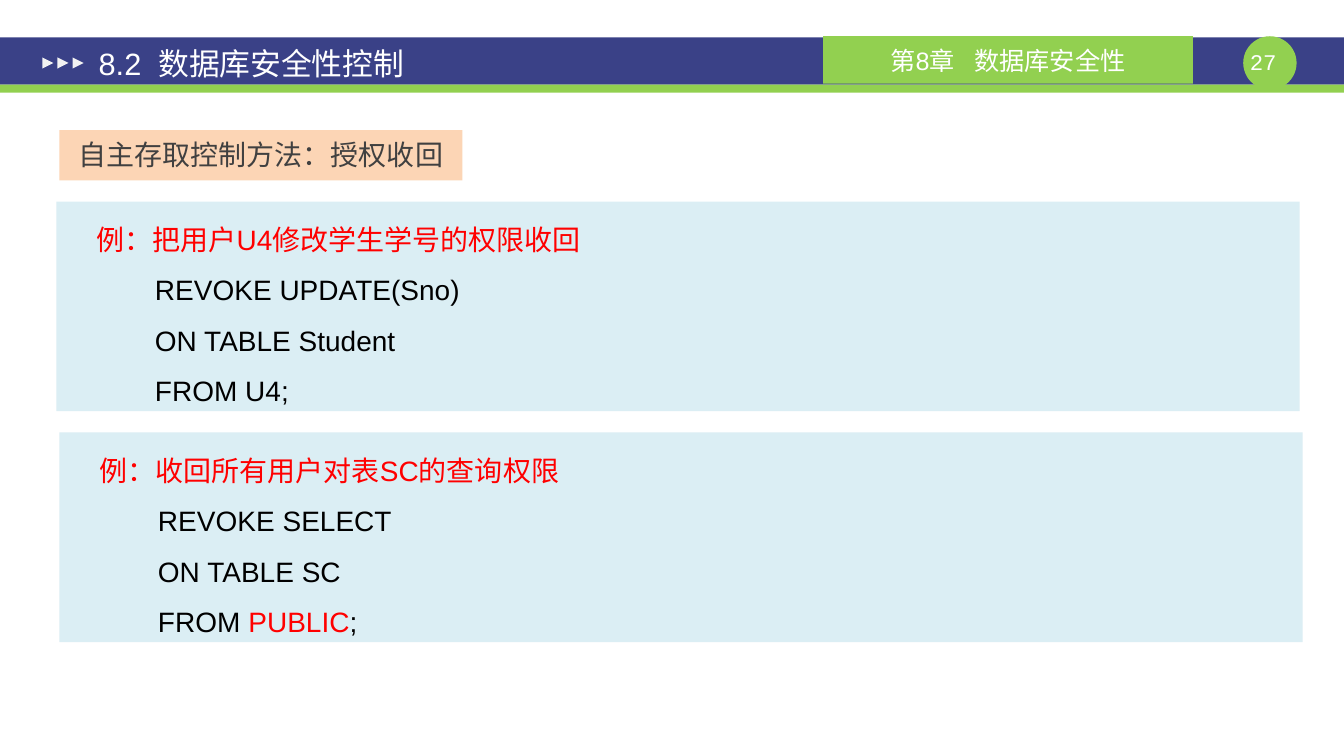
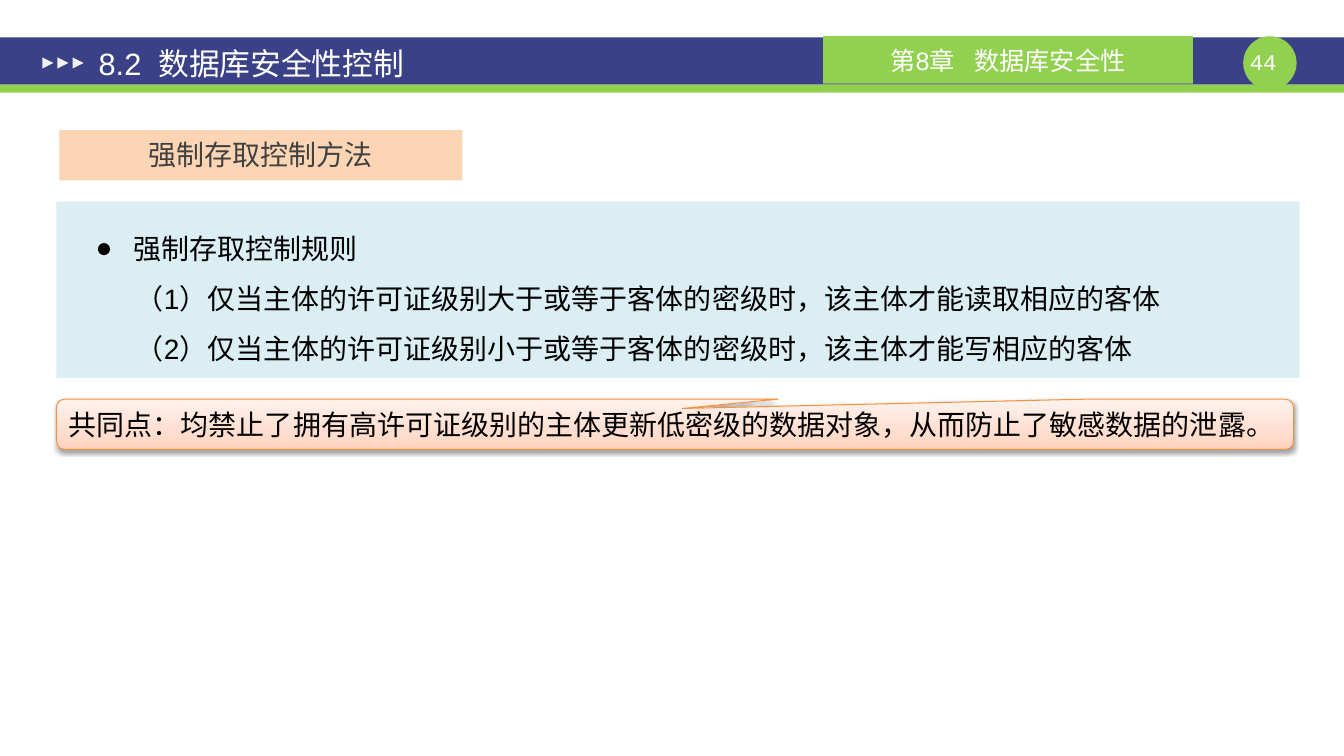
"""Builds two lecture slides on database access control."""
from lxml import etree
from pptx import Presentation
from pptx.dml.color import RGBColor
from pptx.enum.shapes import MSO_SHAPE
from pptx.enum.text import MSO_ANCHOR, PP_ALIGN
from pptx.oxml.ns import qn
from pptx.util import Pt

PX = 9144
RECT, OVAL, TRIANGLE = MSO_SHAPE.RECTANGLE, MSO_SHAPE.OVAL, MSO_SHAPE.ISOSCELES_TRIANGLE
CALLOUT = MSO_SHAPE.ROUNDED_RECTANGULAR_CALLOUT
TOP, MIDDLE = MSO_ANCHOR.TOP, MSO_ANCHOR.MIDDLE
LEFT, CENTER, JUSTIFY = PP_ALIGN.LEFT, PP_ALIGN.CENTER, PP_ALIGN.JUSTIFY
NAVY, GREEN, PEACH, PALE = "3A4187", "92D050", "FCD5B5", "DBEEF4"
WHITE, LIGHT, GREY, BLACK, RED = "FFFFFF", "F2F2F2", "404040", "000000", "FF0000"
ORANGE = "F69240"
CALLOUT_STOPS = [(0, "FFD2BD"), (35000, "FFDED0"), (100000, "FFF2ED")]

slides = [
    {"number": "27 ", "topic": "自主存取控制方法：授权收回", "note": None, "panels": [
        (56, 200, 208, [
            (30, 0, None, [("例：把用户U4修改学生学号的权限收回", RED)]),
            (30, 58, None, [("REVOKE UPDATE(Sno)", BLACK)]),
            (30, 58, None, [("ON TABLE Student", BLACK)]),
            (30, 58, None, [("FROM U4;", BLACK)])]),
        (59, 429, 208, [
            (30, 0, None, [("例：收回所有用户对表SC的查询权限", RED)]),
            (30, 58, None, [("REVOKE SELECT", BLACK)]),
            (30, 58, None, [("ON TABLE SC", BLACK)]),
            (30, 58, None, [("FROM ", BLACK), ("PUBLIC", RED), (";", BLACK)])])]},
    {"number": "44 ", "topic": "强制存取控制方法",
     "note": "共同点：均禁止了拥有高许可证级别的主体更新低密级的数据对象，从而防止了敏感数据的泄露。",
     "panels": [
        (56, 200, 175, [
            (67, -38, "●", [("强制存取控制规则", BLACK)]),
            (30, 39, None, [("（1）仅当主体的许可证级别大于或等于客体的密级时，该主体才能读取相应的客体", BLACK)]),
            (30, 39, None, [("（2）仅当主体的许可证级别小于或等于客体的密级时，该主体才能写相应的客体", BLACK)])])]},
]


def shape(s, kind, x, y, w, h, fill):
    sp = s.shapes.add_shape(kind, x * PX, y * PX, w * PX, h * PX)
    sp.shadow.inherit = False
    sp.fill.solid()
    sp.fill.fore_color.rgb = RGBColor.from_string(fill)
    sp.line.fill.background()
    return sp


def write(sp, paras, size, align, anchor=MIDDLE, inset=(10, 5), spacing=None, font="Arial"):
    tf = sp.text_frame
    tf.word_wrap = True
    tf.vertical_anchor = anchor
    tf.margin_left = tf.margin_right = inset[0] * PX
    tf.margin_top = tf.margin_bottom = inset[1] * PX
    for i, (margin, indent, bullet, runs) in enumerate(paras):
        p = tf.add_paragraph() if i else tf.paragraphs[0]
        p.alignment = align
        p.line_spacing = spacing
        pPr = p._p.get_or_add_pPr()
        pPr.set("marL", str(margin * PX))
        pPr.set("indent", str(indent * PX))
        if bullet:
            etree.SubElement(pPr, qn("a:buFont")).set("typeface", "Arial")
            etree.SubElement(pPr, qn("a:buChar")).set("char", bullet)
        for text, color, *gap in runs:
            r = p.add_run()
            r.text = text
            r.font.size = Pt(size)
            r.font.name = font
            r.font.color.rgb = RGBColor.from_string(color)
            if gap:
                r._r.get_or_add_rPr().set("spc", str(gap[0] * 100))


prs = Presentation()
prs.slide_width, prs.slide_height = 1334 * PX, 750 * PX

for page in slides:
    s = prs.slides.add_slide(prs.slide_layouts[6])

    shape(s, RECT, 0, 37, 1334, 47, NAVY)
    shape(s, RECT, 0, 84, 1334, 8, GREEN)
    shape(s, OVAL, 1234, 36, 53, 53, GREEN)
    number = s.shapes.add_textbox(1234 * PX, 48 * PX, 53 * PX, 27 * PX)
    write(number, [(0, 0, None, [(page["number"], WHITE)])], 16, CENTER, TOP, (0, 0),
          font="Courier New")
    chapter = shape(s, RECT, 817, 36, 367, 47, GREEN)
    write(chapter, [(0, 0, None, [("第8章", WHITE), (" ", WHITE, 10), ("数据库安全性", WHITE)])],
          18, CENTER)
    for i in range(3):
        shape(s, TRIANGLE, 42 + 15 * i, 57, 11, 11, LIGHT).rotation = 90
    title = s.shapes.add_textbox(85 * PX, 39 * PX, 583 * PX, 47 * PX)
    write(title, [(0, 0, None, [("8.2", WHITE), (" ", WHITE, 6), ("数据库安全性控制", WHITE)])],
          22, LEFT, inset=(13, 7))

    topic = shape(s, RECT, 59, 129, 400, 50, PEACH)
    write(topic, [(0, 0, None, [(page["topic"], GREY)])], 20, CENTER, TOP, (13, 7))
    for x, y, h, paras in page["panels"]:
        write(shape(s, RECT, x, y, 1234, h, PALE), paras, 20, JUSTIFY, spacing=1.5)

    if page["note"]:
        note = shape(s, CALLOUT, 56, 396, 1228, 50, PEACH)
        for i, value in enumerate((0.006, -0.314, 0.167)):
            note.adjustments[i] = value
        note.line.color.rgb = RGBColor.from_string(ORANGE)
        note.line.width = Pt(0.75)
        note.fill.gradient()
        note.fill.gradient_angle = 90
        spPr = note._element.spPr
        stops = spPr.find(qn("a:gradFill")).find(qn("a:gsLst"))
        for stop in list(stops):
            stops.remove(stop)
        for pos, color in CALLOUT_STOPS:
            stop = etree.SubElement(stops, qn("a:gs"), pos=str(pos))
            etree.SubElement(stop, qn("a:srgbClr"), val=color)
        shadow = etree.SubElement(spPr.find(qn("a:effectLst")), qn("a:outerShdw"),
                                  blurRad="40000", dist="20000", dir="5400000", rotWithShape="0")
        tint = etree.SubElement(shadow, qn("a:srgbClr"), val=BLACK)
        etree.SubElement(tint, qn("a:alpha"), val="38000")
        write(note, [(0, 0, None, [(page["note"], BLACK)])], 20, JUSTIFY)

prs.save("out.pptx")
